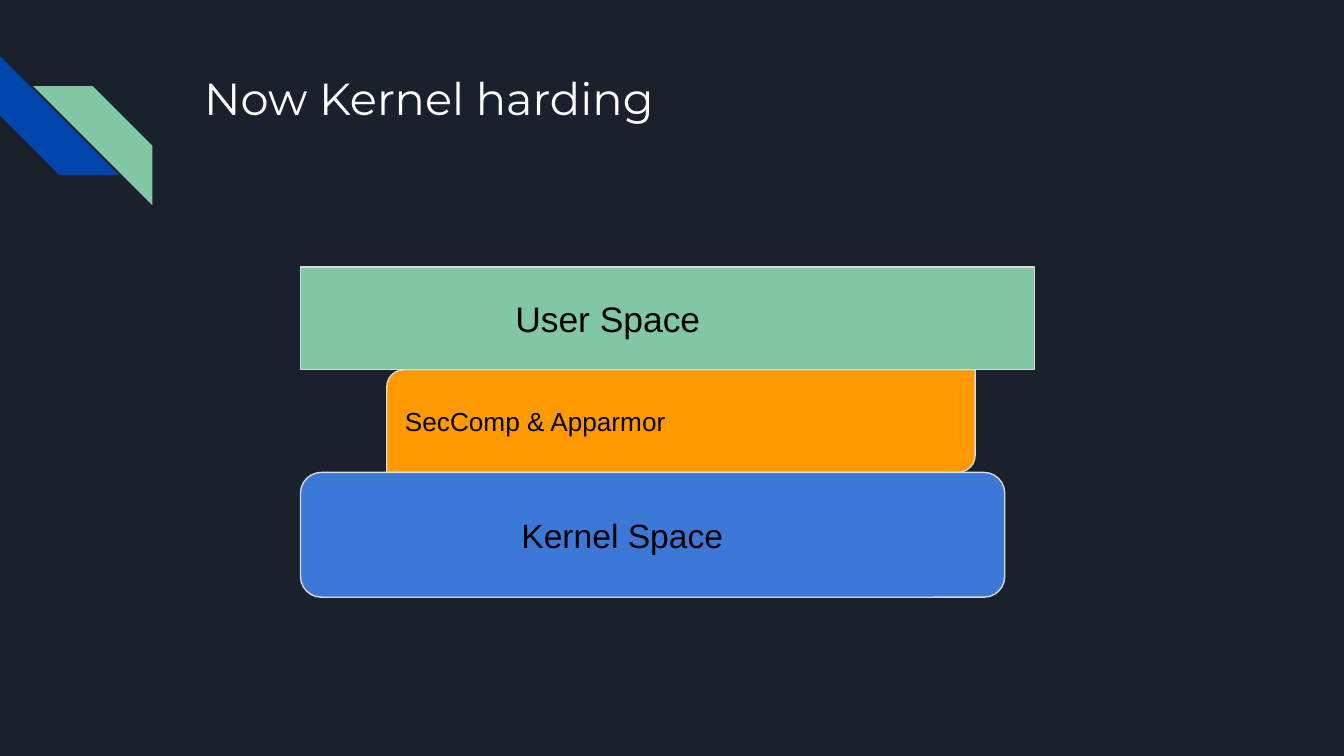
import pptx
import pptx.util
import pptx.dml.color
import pptx.enum.shapes
import pptx.enum.text

Cm = pptx.util.Cm
Pt = pptx.util.Pt
SHAPE = pptx.enum.shapes.MSO_SHAPE
ANCHOR = pptx.enum.text.MSO_ANCHOR
ALIGN = pptx.enum.text.PP_ALIGN

COLORS = {
    "background": "1B212C",
    "blue": "0145AC",
    "green": "82C7A5",
    "orange": "FF9900",
    "kernel": "3C78D8",
    "outline": "D9D9D9",
    "white": "FFFFFF",
    "black": "000000",
}


def rgb(name):
    return pptx.dml.color.RGBColor.from_string(COLORS[name])


def add_text(sp, text, font, size, color, anchor, indented=False):
    tf = sp.text_frame
    tf.word_wrap = True
    tf.vertical_anchor = anchor
    tf.margin_left = tf.margin_right = Cm(0.25)
    tf.margin_top = tf.margin_bottom = Cm(0.25)
    p = tf.paragraphs[0]
    p.alignment = ALIGN.LEFT
    if indented:
        pPr = p._p.get_or_add_pPr()
        pPr.set("marL", str(Cm(2.54)))
        pPr.set("indent", str(Cm(1.27)))
    r = p.add_run()
    r.text = text
    r.font.name = font
    r.font.size = Pt(size)
    r.font.color.rgb = rgb(color)


def add_filled(s, kind, left, top, width, height, fill):
    sp = s.shapes.add_shape(kind, Cm(left), Cm(top), Cm(width), Cm(height))
    sp.shadow.inherit = False
    sp.fill.solid()
    sp.fill.fore_color.rgb = rgb(fill)
    sp.line.fill.background()
    return sp


def add_stripe(s, left, top, fill):
    sp = add_filled(s, SHAPE.DIAGONAL_STRIPE, left, top, 2.25, 2.25, fill)
    sp.adjustments[0] = 0.5
    return sp


def add_layer(s, kind, left, top, width, height, fill, text, size, indented):
    sp = add_filled(s, kind, left, top, width, height, fill)
    sp.line.color.rgb = rgb("outline")
    sp.line.width = Pt(0.75)
    add_text(sp, text, "Arial", size, "black", ANCHOR.MIDDLE, indented)


def add_title(s, text):
    sp = s.shapes.add_textbox(Cm(3.61), Cm(1.09), Cm(19.56), Cm(2.54))
    add_text(sp, text, "Montserrat", 24, "white", ANCHOR.TOP)


def main():
    prs = pptx.Presentation()
    prs.slide_width = Cm(25.4)
    prs.slide_height = Cm(14.29)
    s = prs.slides.add_slide(prs.slide_layouts[6])
    s.background.fill.solid()
    s.background.fill.fore_color.rgb = rgb("background")

    add_stripe(s, 0, 1.06, "blue").rotation = 270
    green = add_stripe(s, 0.63, 1.63, "green")
    green._element.spPr.xfrm.set("flipH", "1")

    add_title(s, "Now Kernel harding")

    layers = [
        (SHAPE.RECTANGLE, 5.68, 13.87, 1.94, "green", "User Space", 19, True),
        (SHAPE.ROUND_2_DIAG_RECTANGLE, 7.31, 11.12, 1.94, "orange",
         "SecComp & Apparmor", 14, False),
        (SHAPE.ROUNDED_RECTANGLE, 5.68, 13.31, 2.36, "kernel",
         "Kernel Space", 18, True),
    ]
    top = 5.05
    for kind, left, width, height, fill, text, size, indented in layers:
        add_layer(s, kind, left, top, width, height, fill, text, size, indented)
        top += height

    prs.save("out.pptx")


if __name__ == "__main__":
    main()
